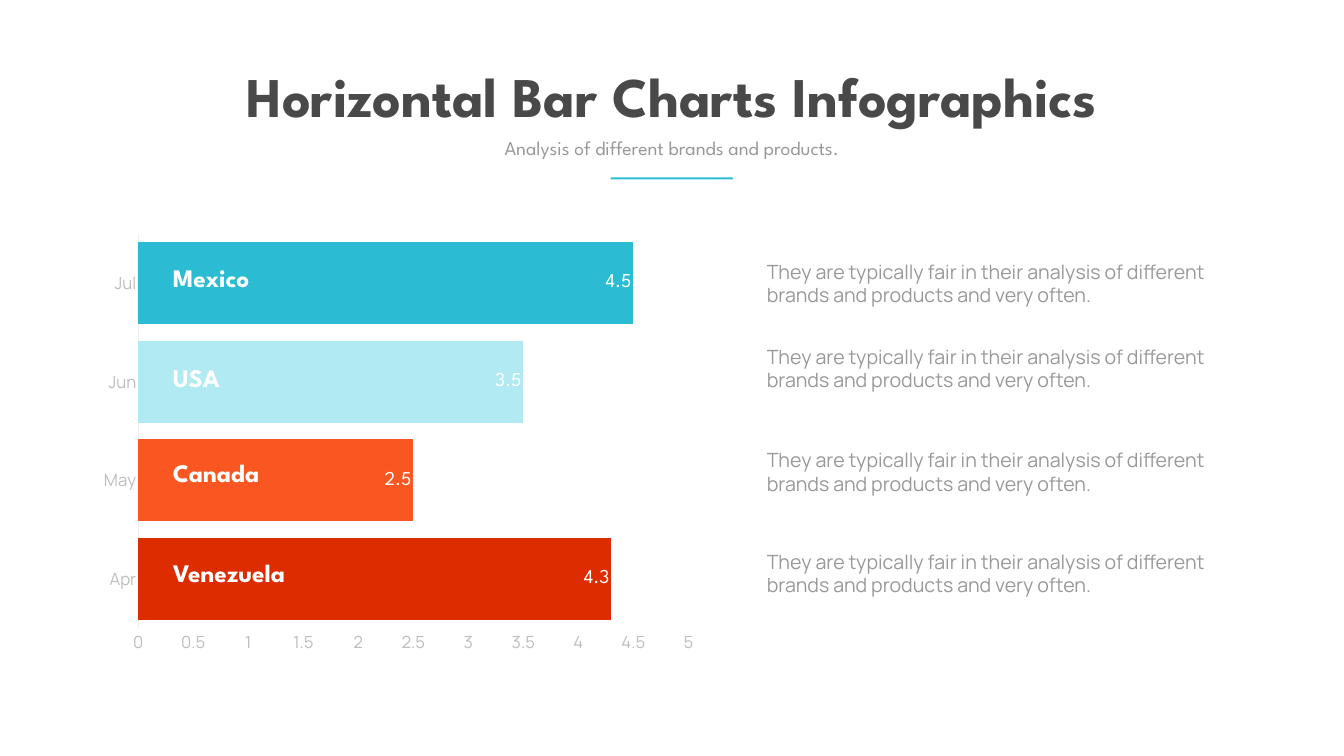
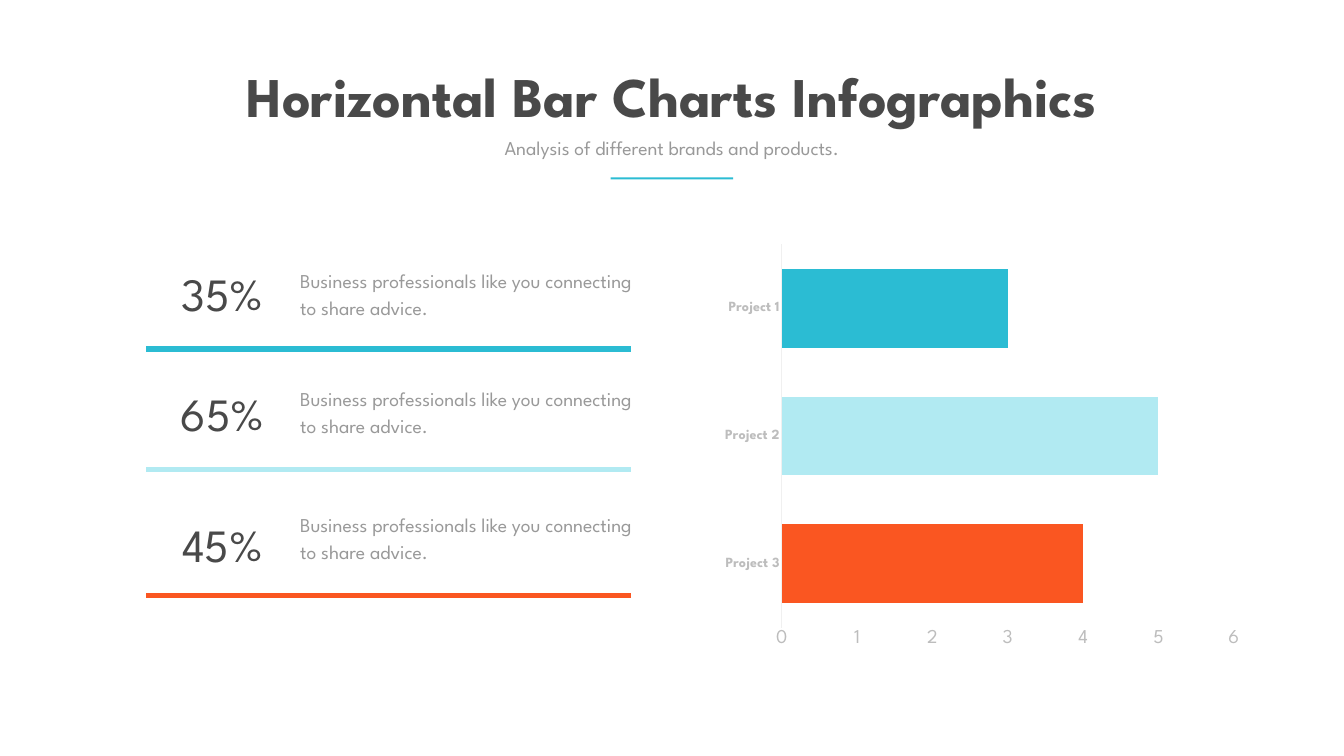
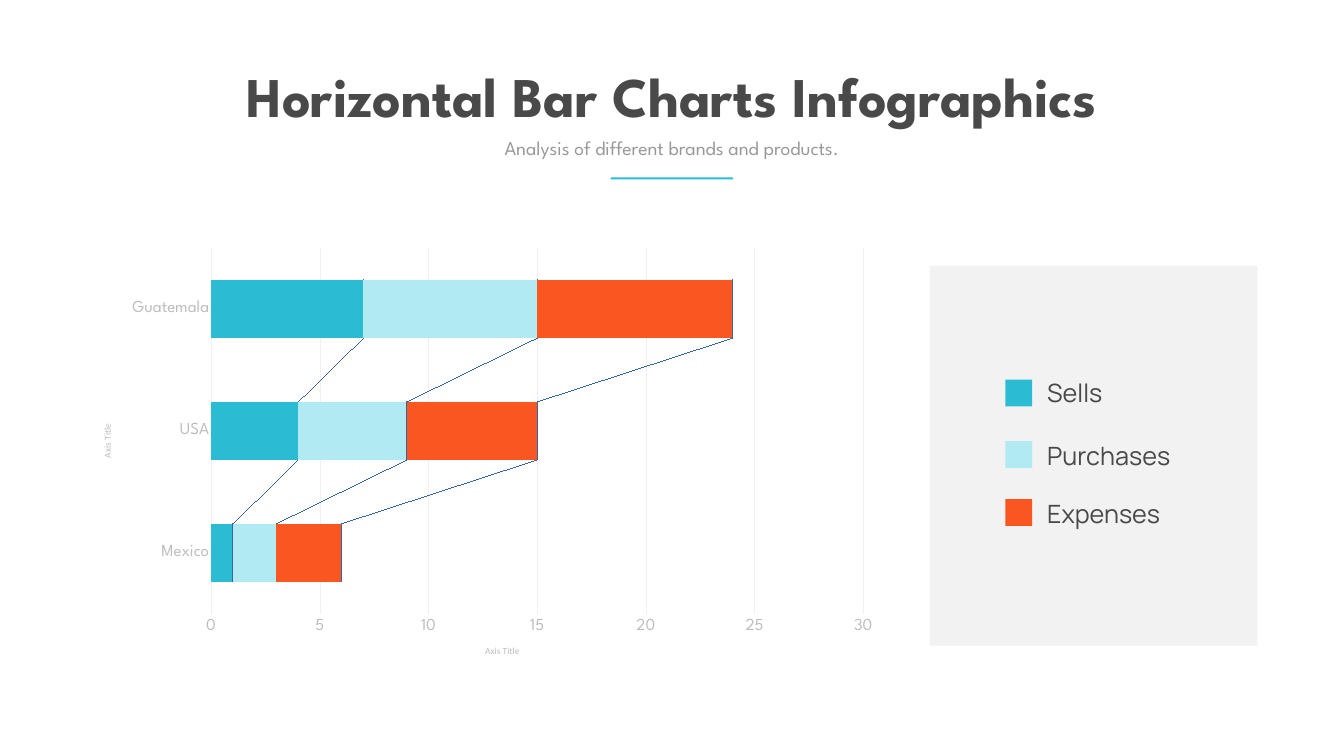
from lxml import etree
from pptx import Presentation
from pptx.chart.data import CategoryChartData
from pptx.dml.color import RGBColor
from pptx.enum.chart import XL_CHART_TYPE, XL_LABEL_POSITION, XL_TICK_MARK
from pptx.enum.shapes import MSO_CONNECTOR, MSO_SHAPE
from pptx.enum.text import MSO_ANCHOR, MSO_AUTO_SIZE, PP_ALIGN
from pptx.oxml import parse_xml
from pptx.oxml.ns import nsdecls, qn
from pptx.util import Cm, Pt

CLUSTERED, STACKED = XL_CHART_TYPE.BAR_CLUSTERED, XL_CHART_TYPE.BAR_STACKED
INSIDE_END = XL_LABEL_POSITION.INSIDE_END
NO_TICK, TICK_OUT = XL_TICK_MARK.NONE, XL_TICK_MARK.OUTSIDE
RECTANGLE, STRAIGHT = MSO_SHAPE.RECTANGLE, MSO_CONNECTOR.STRAIGHT
LEFT, CENTER, TOP = PP_ALIGN.LEFT, PP_ALIGN.CENTER, MSO_ANCHOR.TOP
NO_AUTOFIT = MSO_AUTO_SIZE.NONE

TEAL = RGBColor(0x2B, 0xBC, 0xD3)
PALE_TEAL = RGBColor(0xB1, 0xEA, 0xF2)
ORANGE = RGBColor(0xFA, 0x56, 0x21)
RED = RGBColor(0xDD, 0x2C, 0x00)
DARK = RGBColor(0x49, 0x49, 0x49)
GRAY = RGBColor(0x99, 0x99, 0x99)
AXIS_GRAY = RGBColor(0xBD, 0xBD, 0xBD)
LINE_GRAY = RGBColor(0xF0, 0xF0, 0xF0)
PANEL_GRAY = RGBColor(0xF2, 0xF2, 0xF2)
WHITE = RGBColor(0xFF, 0xFF, 0xFF)

HEADING, BODY, SMALL = "League Spartan", "Manrope", "Calibri"


class InfographicDeck:
    def __init__(self):
        self.deck = Presentation()
        self.deck.slide_width, self.deck.slide_height = Cm(67.74), Cm(38.1)
        self.page = None

    def add_page(self):
        """Start a slide with the shared title, subtitle and accent rule."""
        self.page = self.deck.slides.add_slide(self.deck.slide_layouts[5])
        title = self.page.shapes.title
        title.left, title.top, title.width, title.height = Cm(10.36), Cm(2.97), Cm(47), Cm(3.68)
        self.fill_frame(title.text_frame, "Horizontal Bar Charts Infographics", 80, DARK,
                        bold=True, align=CENTER, wrap=False)
        self.text(21.72, 6.73, 24.28, 1.45, "Analysis of different brands and products.",
                  28, GRAY, align=CENTER)
        self.rectangle(30.78, 8.94, 6.17, 0.1, TEAL)

    def style(self, font, size, color, name, bold=False):
        font.size, font.name, font.bold = Pt(size), name, bold
        font.color.rgb = color

    def fill_frame(self, frame, words, size, color, font=HEADING, bold=False,
                   align=LEFT, wrap=True, spacing=None):
        frame.word_wrap, frame.auto_size = wrap, NO_AUTOFIT
        frame.vertical_anchor = TOP
        para = frame.paragraphs[0]
        para.alignment = align
        if spacing:
            para.line_spacing = Pt(spacing)
        span = para.add_run()
        span.text = words
        self.style(span.font, size, color, font, bold)

    def text(self, left, top, width, height, words, size, color, **options):
        box = self.page.shapes.add_textbox(Cm(left), Cm(top), Cm(width), Cm(height))
        self.fill_frame(box.text_frame, words, size, color, **options)

    def rectangle(self, left, top, width, height, color):
        box = self.page.shapes.add_shape(RECTANGLE, Cm(left), Cm(top), Cm(width), Cm(height))
        box.shadow.inherit = False
        box.fill.solid()
        box.fill.fore_color.rgb = color
        box.line.fill.background()

    def divider(self, left, right, top, color):
        line = self.page.shapes.add_connector(STRAIGHT, Cm(left), Cm(top), Cm(right), Cm(top))
        line.line.color.rgb, line.line.width = color, Pt(8)
        etree.SubElement(line._element.spPr, qn("a:effectLst"))

    def bar_chart(self, kind, frame, categories, series, gap, overlap, maximum, step):
        """Add a horizontal bar chart; series holds (values, one colour per bar) pairs."""
        data = CategoryChartData()
        data.categories = categories
        for number, (values, _) in enumerate(series, 1):
            data.add_series(f"Series {number}", values)
        chart = self.page.shapes.add_chart(kind, *map(Cm, frame), data).chart
        chart.has_legend = chart.has_title = False
        self.style(chart.font, 20, GRAY, BODY)
        plot = chart.plots[0]
        plot.gap_width, plot.overlap, plot.vary_by_categories = gap, overlap, False
        for bars, (_, colors) in zip(plot.series, series):
            bars.invert_if_negative = False
            bars.format.fill.solid()
            bars.format.fill.fore_color.rgb = colors[-1]
            for index, color in enumerate(colors):
                if color != colors[-1]:
                    fill = bars.points[index].format.fill
                    fill.solid()
                    fill.fore_color.rgb = color
        names, scale = chart.category_axis, chart.value_axis
        names.major_tick_mark = scale.major_tick_mark = NO_TICK
        names.format.line.color.rgb, names.format.line.width = LINE_GRAY, Pt(0.75)
        scale.format.line.fill.background()
        scale.has_major_gridlines = False
        scale.minimum_scale, scale.maximum_scale, scale.major_unit = 0, maximum, step
        return chart

    def axis_fonts(self, chart, name_font, scale_font):
        """Set (size, font, bold) for the category and the value labels."""
        for axis, (size, font, bold) in ((chart.category_axis, name_font),
                                         (chart.value_axis, scale_font)):
            self.style(axis.tick_labels.font, size, AXIS_GRAY, font, bold)

    def axis_title(self, axis, turned):
        frame = axis.axis_title.text_frame
        span = frame.paragraphs[0].add_run()
        span.text = "Axis Title"
        self.style(span.font, 13.3, AXIS_GRAY, SMALL)
        if turned:
            body = frame._txBody.find(qn("a:bodyPr"))
            body.set("rot", "-5400000")
            body.set("vert", "horz")

    def plot_area(self, chart, **place):
        """Fix the inner plot area, as fractions of the chart."""
        area = chart._chartSpace.chart.plotArea
        for old in area.findall(qn("c:layout")):
            area.remove(old)
        modes = '<c:layoutTarget val="inner"/><c:xMode val="edge"/><c:yMode val="edge"/>'
        sizes = "".join(f'<c:{key} val="{value}"/>' for key, value in place.items())
        area.insert(0, parse_xml(f'<c:layout {nsdecls("c")}><c:manualLayout>{modes}{sizes}'
                                 "</c:manualLayout></c:layout>"))


def country_page(show):
    show.add_page()
    chart = show.bar_chart(CLUSTERED, (4.62, 11.35, 30.94, 22.02), ["Apr", "May", "Jun", "Jul"],
                           [((4.3, 2.5, 3.5, 4.5), (RED, ORANGE, PALE_TEAL, TEAL))],
                           20, -20, 5, 0.5)
    show.axis_fonts(chart, (24, BODY, False), (24, BODY, False))
    labels = chart.plots[0].series[0].data_labels
    labels.show_value, labels.position = True, INSIDE_END
    show.style(labels.font, 28, WHITE, HEADING)
    rows = (("Mexico", 13.08, 12.95), ("USA", 18.11, 17.25),
            ("Canada", 22.94, 22.45), ("Venezuela", 27.97, 27.58))
    for country, name_top, note_top in rows:
        show.text(8.46, name_top, 9.07, 1.8, country, 36, WHITE, bold=True)
        show.text(38.4, note_top, 24.69, 2.64,
                  "They are typically fair in their analysis of different "
                  "brands and products and very often.", 28, GRAY, font=BODY)


def project_page(show):
    show.add_page()
    chart = show.bar_chart(STACKED, (35.23, 11.66, 27.79, 21.95),
                           ["Project 3", "Project 2", "Project 1"],
                           [((4, 5, 3), (ORANGE, PALE_TEAL, TEAL))], 62, 100, 6, 1)
    show.axis_fonts(chart, (20, HEADING, True), (28, HEADING, False))
    show.plot_area(chart, x=0.15, y=0.03, w=0.82, h=0.88)
    rows = (("35%", TEAL, 13.26, 13.23, 17.6), ("65%", PALE_TEAL, 19.3, 19.2, 23.67),
            ("45%", ORANGE, 25.91, 25.53, 30.02))
    for share, color, share_top, note_top, line_top in rows:
        show.text(14.88, note_top, 17.35, 3,
                  "Business professionals like you connecting to share advice.",
                  28, GRAY, spacing=38.6)
        show.divider(7.37, 31.78, line_top, color)
        show.text(8.69, share_top, 5.05, 3.07, share, 66, DARK, align=CENTER, wrap=False)


def trade_page(show):
    show.add_page()
    colors = (TEAL, PALE_TEAL, ORANGE)
    values = ((1, 4, 7), (2, 5, 8), (3, 6, 9))
    chart = show.bar_chart(STACKED, (4.55, 12.07, 40.23, 21.59), ["Mexico", "USA", "Guatemala"],
                           [(row, (color,)) for row, color in zip(values, colors)],
                           110, 100, 30, 5)
    show.axis_fonts(chart, (24, HEADING, False), (24, HEADING, False))
    scale = chart.value_axis
    scale.major_tick_mark = TICK_OUT
    grid = scale.major_gridlines.format.line
    grid.color.rgb, grid.width = LINE_GRAY, Pt(0.75)
    show.axis_title(chart.category_axis, True)
    show.axis_title(scale, False)
    overlap = chart.plots[0]._element.find(qn("c:overlap"))
    overlap.addnext(parse_xml(f'<c:serLines {nsdecls("c")}/>'))

    show.rectangle(46.86, 13.39, 16.51, 19.15, PANEL_GRAY)
    entries = (("Sells", 18.9, 19.13), ("Purchases", 22.05, 22.23), ("Expenses", 24.97, 25.15))
    for (name, name_top, key_top), color in zip(entries, colors):
        show.text(52.53, name_top, 7.57, 1.8, name, 36, DARK, font=BODY)
        show.rectangle(50.67, key_top, 1.35, 1.35, color)


def main():
    show = InfographicDeck()
    for build in (country_page, project_page, trade_page):
        build(show)
    show.deck.save("out.pptx")


if __name__ == "__main__":
    main()
